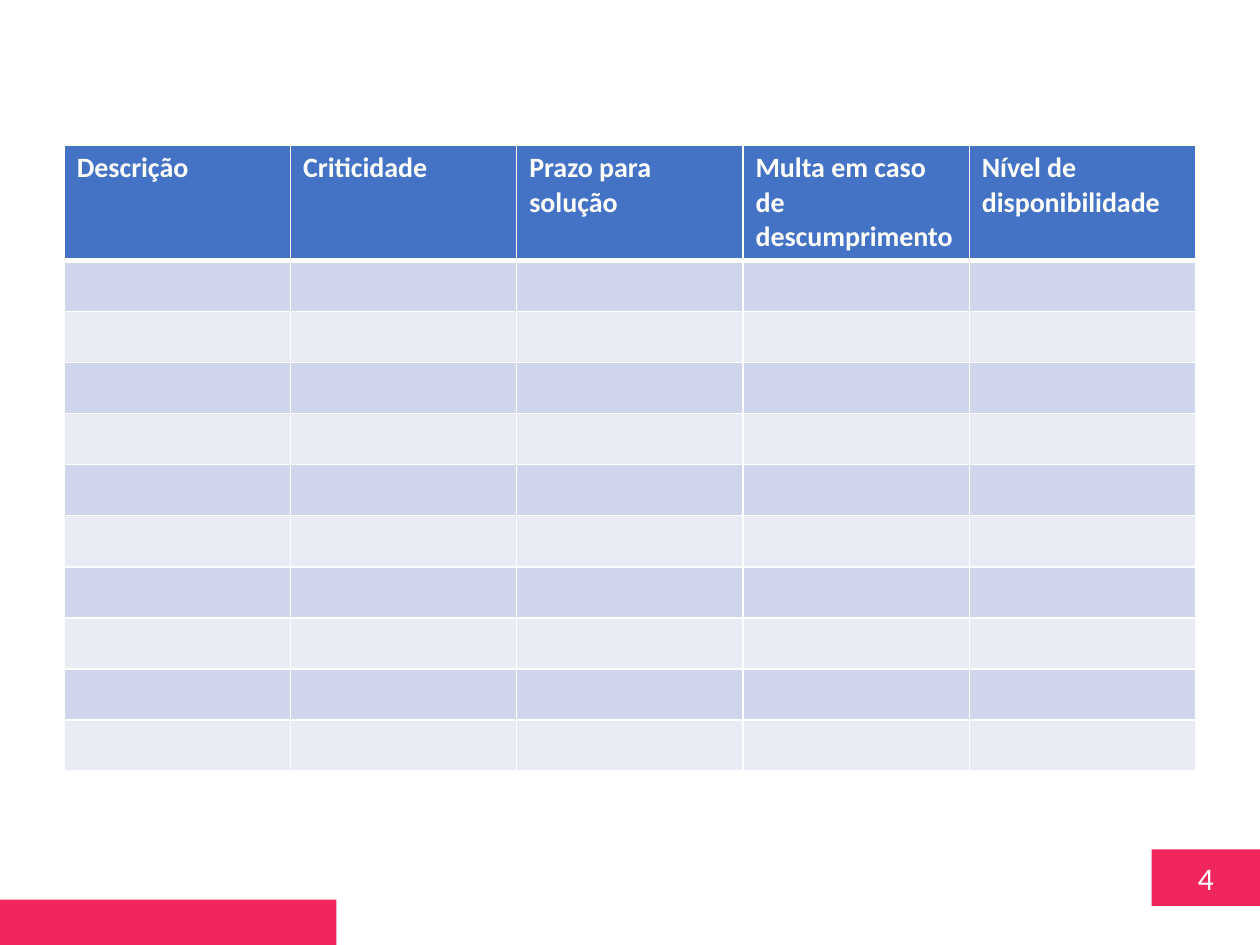
from lxml.etree import SubElement
from pptx import Presentation
from pptx.dml.color import RGBColor
from pptx.enum.shapes import MSO_SHAPE as Shape
from pptx.enum.text import MSO_ANCHOR as Anchor, PP_ALIGN as Align
from pptx.oxml.ns import qn
from pptx.util import Inches, Pt

PINK, BLUE, WHITE = "F0265D", "4472C4", "FFFFFF"
BANDS = ("CFD5EA", "E9EBF5")
HEADS = ("Descrição", "Criticidade", "Prazo para solução",
         "Multa em caso de descumprimento", "Nível de disponibilidade")
ROWS = 10
WIDTH, HEAD_H, ROW_H = 8.98, 0.91, 0.405


def paint(fill, color):
    fill.solid()
    fill.fore_color.rgb = RGBColor.from_string(color)


def write(frame, text, size=16, bold=False, color=WHITE, align=Align.LEFT):
    par = frame.paragraphs[0]
    par.alignment = align
    run = par.add_run()
    run.text = text
    font = run.font
    font.name, font.size, font.bold = "Calibri", Pt(size), bold
    font.color.rgb = RGBColor.from_string(color)


def add_bar(slide, left, top, width, height):
    bar = slide.shapes.add_shape(Shape.RECTANGLE, Inches(left), Inches(top),
                                 Inches(width), Inches(height))
    bar.shadow.inherit = False
    paint(bar.fill, PINK)
    bar.line.fill.background()
    return bar


def set_edges(cell, top=1, bottom=1):
    """Draw white cell borders; widths are in points."""
    props = cell._tc.get_or_add_tcPr()
    for side, width in (("L", 1), ("R", 1), ("T", top), ("B", bottom)):
        edge = SubElement(props, qn(f"a:ln{side}"), w=str(Pt(width)))
        fill = SubElement(edge, qn("a:solidFill"))
        SubElement(fill, qn("a:srgbClr"), val=WHITE)


def add_grid(slide, left, top):
    table = slide.shapes.add_table(
        ROWS + 1, len(HEADS), Inches(left), Inches(top),
        Inches(WIDTH), Inches(HEAD_H + ROWS * ROW_H)).table
    for col in table.columns:
        col.width = Inches(WIDTH / len(HEADS))
    for i, row in enumerate(table.rows):
        row.height = Inches(ROW_H if i else HEAD_H)
        for cell in row.cells:
            set_edges(cell, top=3 if i == 1 else 1, bottom=1 if i else 3)
            paint(cell.fill, BANDS[(i - 1) % 2] if i else BLUE)
    for cell, head in zip(table.rows[0].cells, HEADS):
        write(cell.text_frame, head, bold=True)


def main():
    deck = Presentation()
    deck.slide_width, deck.slide_height = Inches(10), Inches(7.5)
    slide = deck.slides.add_slide(deck.slide_layouts[6])
    number = add_bar(slide, 9.14, 6.74, 0.86, 0.45)
    number.text_frame.vertical_anchor = Anchor.MIDDLE
    write(number.text_frame, "4", size=18, align=Align.CENTER)
    add_bar(slide, 0, 7.14, 2.67, 0.36)
    add_grid(slide, 0.51, 1.15)
    deck.save("out.pptx")


if __name__ == "__main__":
    main()
